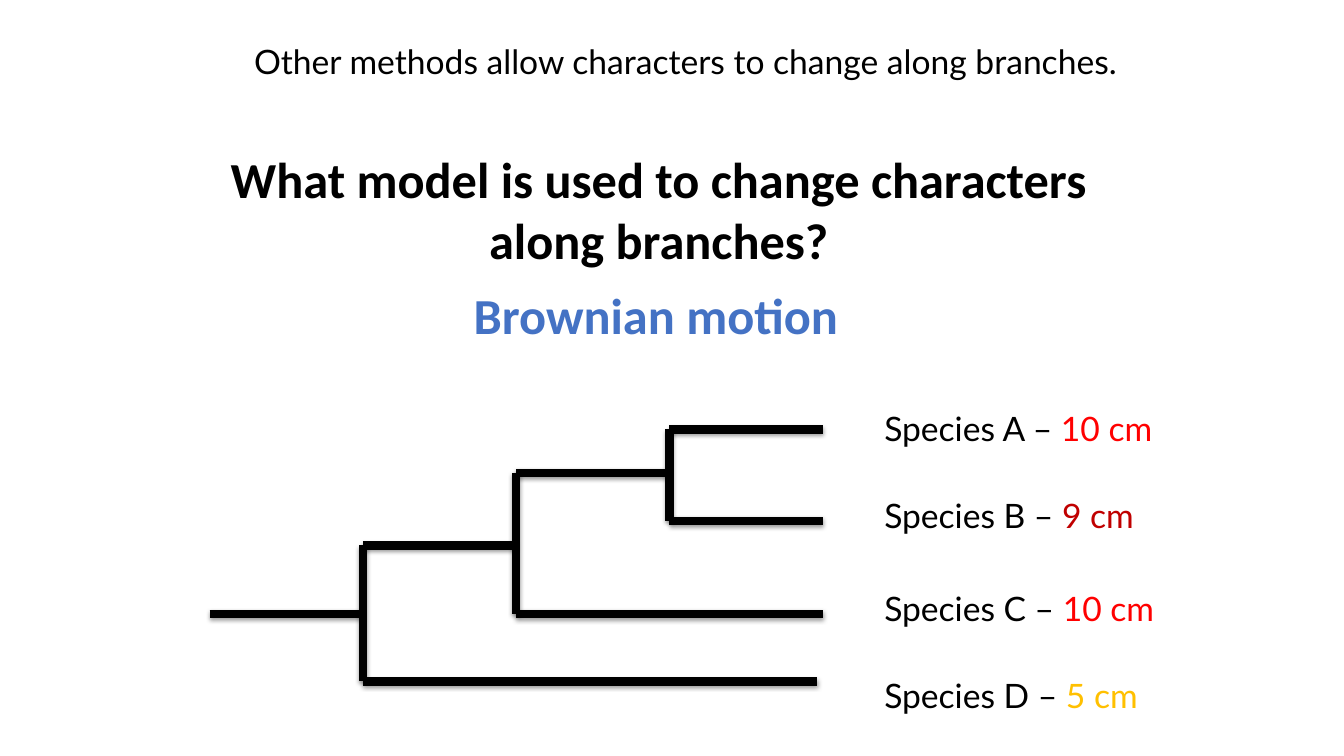
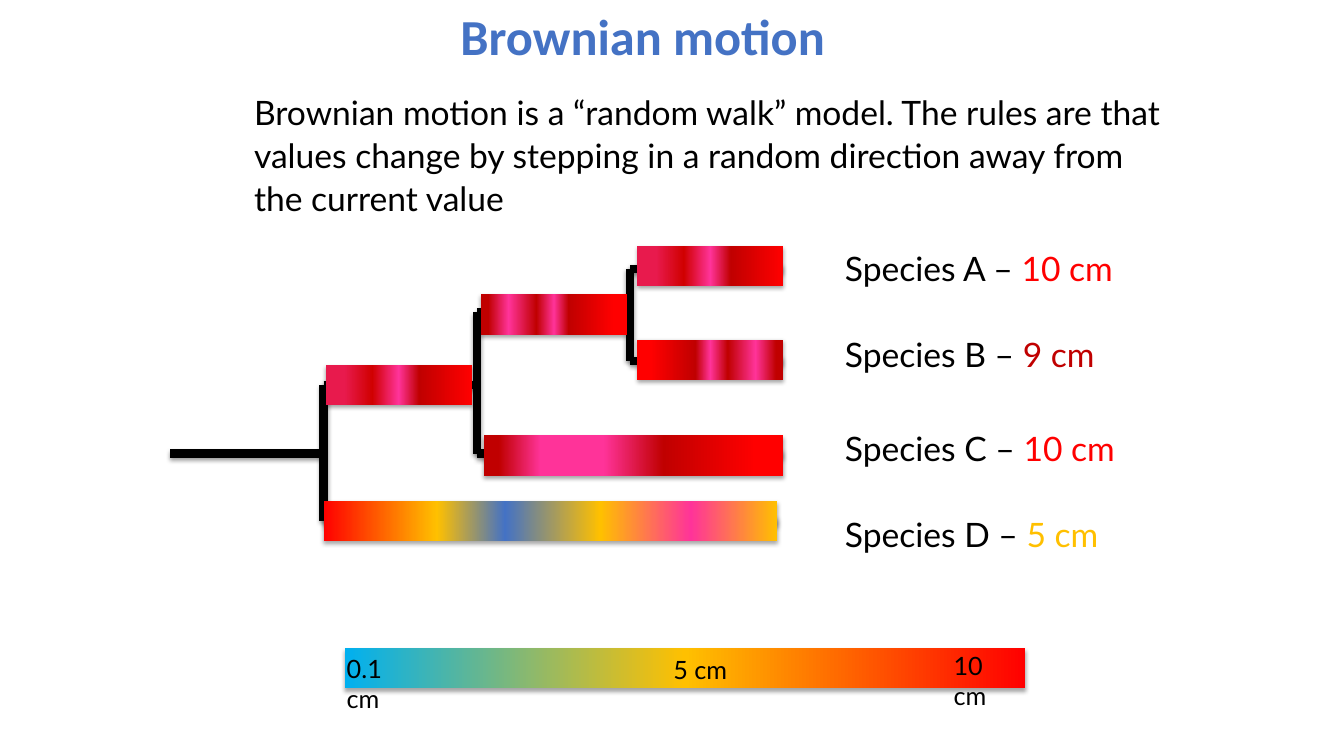
from dataclasses import dataclass

from lxml.etree import SubElement
from pptx import Presentation
from pptx.dml.color import RGBColor
from pptx.enum.shapes import MSO_CONNECTOR, MSO_SHAPE
from pptx.enum.text import MSO_ANCHOR, MSO_AUTO_SIZE, PP_ALIGN
from pptx.oxml.ns import qn
from pptx.util import Inches, Pt


@dataclass(frozen=True)
class Theme:
    """Colours, fonts and type sizes shared by the slides."""
    ink: str = "000000"
    blue: str = "4472C4"
    sky: str = "00B0F0"
    red: str = "FF0000"
    dark_red: str = "C00000"
    mid_red: str = "D00000"
    crimson: str = "E81A4D"
    pink: str = "FF3399"
    gold: str = "FFC000"
    head_font: str = "Calibri"
    body_font: str = "Lato"
    head: int = 36
    body: int = 24
    small: int = 18
    branch: int = 6
    leading: float = 1.07


T = Theme()
TOPIC = "Brownian motion"
SPECIES = [("A", "10 cm", T.red, 0), ("B", "9 cm", T.dark_red, 31),
           ("C", "10 cm", T.red, 36), ("D", "5 cm", T.gold, 31)]

STEP = 1.52
X0, X1, X2, X3, X4 = (i * STEP for i in range(5))
Y_A, Y_B, Y_C, Y_D, Y_AB, Y_ABC = 0, 0.91, 1.83, 2.5, 0.43, 1.15
BRANCHES = [(X3, Y_A, X4, Y_A), (X3, Y_B, X4, Y_B), (X2, Y_C, X4, Y_C),
            (X1, Y_D, 6.02, Y_D), (X2, Y_AB, X3, Y_AB), (X1, Y_ABC, X2, Y_ABC),
            (X0, Y_C, X1, Y_C), (X3, Y_A, X3, Y_B), (X2, Y_AB, X2, Y_C),
            (X1, Y_ABC, X1, Y_D)]

BAR_H = 0.4
RISING = [(13, T.crimson), (32, T.mid_red), (50, T.pink), (64, T.dark_red), (100, T.red)]
FALLING = [(9, T.red), (40, T.dark_red), (50, T.pink), (62, T.dark_red), (81, T.pink),
           (95, T.dark_red)]
WIDE = [(9, T.red), (40, T.dark_red), (60, T.pink), (81, T.pink), (95, T.dark_red)]
DRIFT = [(0, T.red), (25, T.gold), (40, T.blue), (61, T.gold), (81, T.pink), (100, T.gold)]
SCALE = [(0, T.sky), (50, T.gold), (100, T.red)]


def flip(stops):
    """Return gradient stops running the other way."""
    return [(100 - pos, color) for pos, color in reversed(stops)]


BARS = [(4.63, -0.23, 1.45, RISING), (4.63, 0.7, 1.45, FALLING),
        (3.08, 0.25, 1.45, flip(FALLING)), (1.52, 2.3, 4.5, DRIFT),
        (3.11, 1.65, 2.97, flip(WIDE)), (1.54, 0.95, 1.45, RISING)]


def add_run(p, text, *, size=T.body, color=T.ink, font=T.body_font, bold=False):
    """Add one formatted run to a paragraph."""
    r = p.add_run()
    r.text = text
    r.font.size, r.font.name, r.font.bold = Pt(size), font, bold
    r.font.color.rgb = RGBColor.from_string(color)


def frame(sp, left=0.1, side=0.1):
    """Prepare the text frame of a shape and return it."""
    tf = sp.text_frame
    tf.word_wrap, tf.auto_size = True, MSO_AUTO_SIZE.NONE
    tf.vertical_anchor = MSO_ANCHOR.TOP
    tf.margin_left, tf.margin_right = Inches(left), Inches(side)
    tf.margin_top = tf.margin_bottom = Inches(0.05)
    return tf


def textbox(s, x, y, w, h):
    """Add an empty text box."""
    return s.shapes.add_textbox(Inches(x), Inches(y), Inches(w), Inches(h))


def heading(sp, text, color=T.ink):
    """Write a centred bold heading into a shape."""
    p = frame(sp, 0.05, 0.05).paragraphs[0]
    p.alignment = PP_ALIGN.CENTER
    add_run(p, text, size=T.head, color=color, font=T.head_font, bold=True)


def title(s, text, x, y, w, h, color=T.ink):
    """Move and fill the title placeholder."""
    sp = s.shapes.title
    sp.left, sp.top, sp.width, sp.height = (Inches(v) for v in (x, y, w, h))
    heading(sp, text, color)


def body(s, text, x, y, w, h):
    """Add an indented paragraph of body text."""
    p = frame(textbox(s, x, y, w, h), left=0.6).paragraphs[0]
    p.line_spacing = T.leading
    add_run(p, text)


def cast_shadow(sp, alpha, dist):
    """Give a shape a soft shadow straight below it."""
    spPr = sp._element.spPr
    fx = spPr.find(qn("a:effectLst"))
    if fx is None:
        fx = SubElement(spPr, qn("a:effectLst"))
    shadow = SubElement(fx, qn("a:outerShdw"), blurRad=str(Pt(3)), dist=str(Pt(dist)),
                        dir="5400000", rotWithShape="0")
    clr = SubElement(shadow, qn("a:srgbClr"), val=T.ink)
    SubElement(clr, qn("a:alpha"), val=str(alpha * 1000))


def gradient_bar(s, x, y, w, stops):
    """Add a bar filled with a left-to-right gradient."""
    sp = s.shapes.add_shape(MSO_SHAPE.RECTANGLE, Inches(x), Inches(y), Inches(w), Inches(BAR_H))
    sp.fill.gradient()
    sp.fill.gradient_angle = 0
    gs_list = sp._element.spPr.find(".//" + qn("a:gsLst"))
    for gs in list(gs_list):
        gs_list.remove(gs)
    for pos, color in stops:
        gs = SubElement(gs_list, qn("a:gs"), pos=str(pos * 1000))
        SubElement(gs, qn("a:srgbClr"), val=color)
    sp.line.fill.background()
    sp.shadow.inherit = False
    cast_shadow(sp, 35, 1.8)


def tree(s, x, y):
    """Draw the species tree and its labels from its top-left corner."""
    grp = s.shapes.add_group_shape()
    for x1, y1, x2, y2 in BRANCHES:
        ln = grp.shapes.add_connector(MSO_CONNECTOR.STRAIGHT, Inches(x + x1), Inches(y + y1),
                                      Inches(x + x2), Inches(y + y2))
        ln.line.width = Pt(T.branch)
        ln.line.color.rgb = RGBColor.from_string(T.ink)
        cast_shadow(ln, 38, 1.6)
    tf = frame(textbox(s, x + 6.09, y - 0.29, 4.25, 3.17), left=0.6)
    for i, (name, size, color, gap) in enumerate(SPECIES):
        p = tf.add_paragraph() if i else tf.paragraphs[0]
        p.line_spacing = T.leading
        if gap:
            p.space_before = Pt(gap)
        add_run(p, f"Species {name} – ")
        add_run(p, size, color=color)


def bars(s, x, y):
    """Colour the branches of a tree whose corner is given."""
    for dx, dy, w, stops in BARS:
        gradient_bar(s, x + dx, y + dy, w, stops)


def scale(s, x, y, w):
    """Draw the colour scale with its three values."""
    gradient_bar(s, x, y, w, SCALE)
    for text, dx, dy, tw in (("10 cm", 5.94, -0.03, 0.83), ("0.1 cm", -0.08, 0, 0.89),
                             ("5 cm", 3.16, 0.01, 0.75)):
        p = frame(textbox(s, x + dx, y + dy, tw, BAR_H)).paragraphs[0]
        add_run(p, text, size=T.small)


def model_slide(prs):
    """Build the slide that asks which model is used."""
    s = prs.slides.add_slide(prs.slide_layouts[5])
    body(s, "Other methods allow characters to change along branches.", 1.92, 0.33, 9.75, 0.51)
    title(s, "What model is used to change characters along branches?", 1.66, 1.42, 9.75, 1.31)
    heading(textbox(s, 1.63, 2.77, 9.75, 0.71), TOPIC, T.blue)
    tree(s, 2.08, 4.26)


def motion_slide(prs):
    """Build the slide that explains the random walk."""
    s = prs.slides.add_slide(prs.slide_layouts[5])
    title(s, TOPIC, 1.5, 0, 9.75, 0.71, T.blue)
    body(s, "Brownian motion is a “random walk” model. The rules are that values change by "
            "stepping in a random direction away from the current value", 1.92, 0.83, 9.75, 1.37)
    x, y = 1.69, 2.67
    tree(s, x, y)
    bars(s, x, y)
    scale(s, 3.42, 6.43, 6.75)


def main():
    """Build and save the presentation."""
    prs = Presentation()
    prs.slide_width, prs.slide_height = Inches(13.33), Inches(7.5)
    model_slide(prs)
    motion_slide(prs)
    prs.save("out.pptx")


if __name__ == "__main__":
    main()
